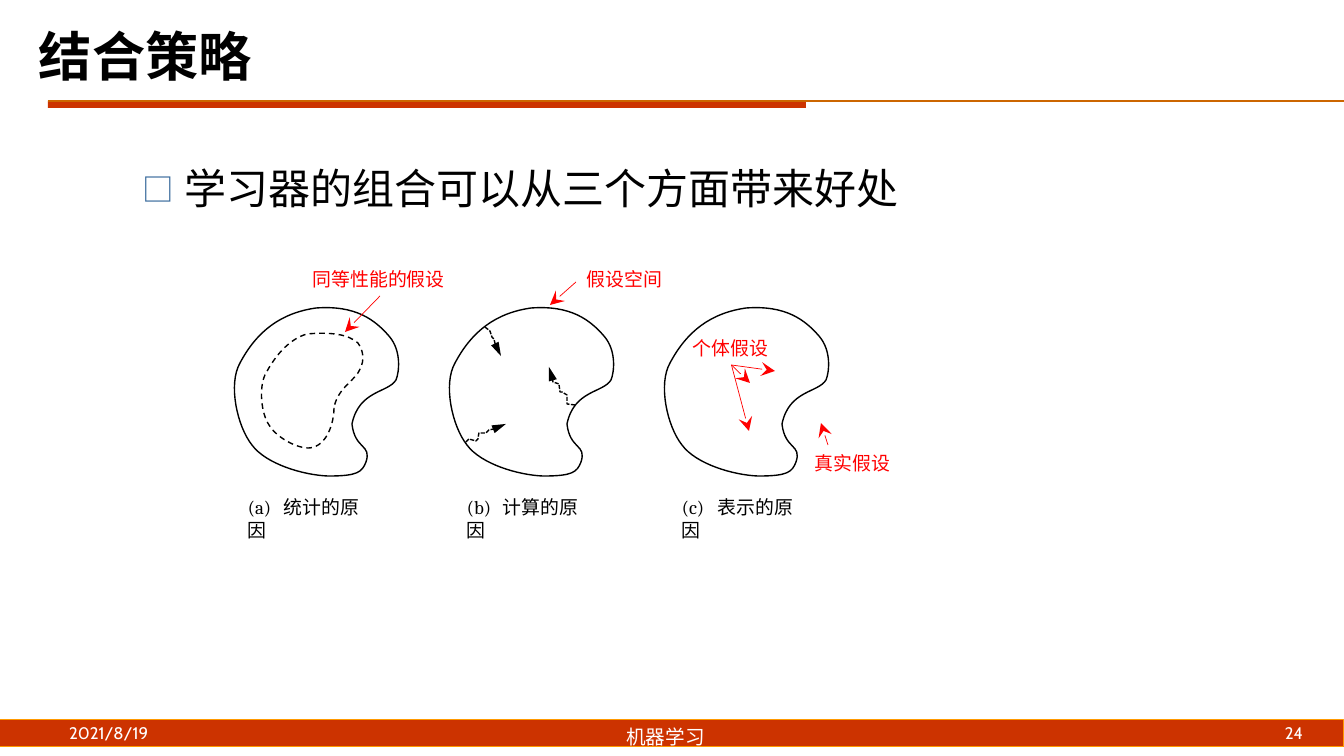
from lxml.etree import SubElement
from pptx import Presentation
from pptx.dml.color import RGBColor
from pptx.enum.dml import MSO_LINE_DASH_STYLE as Dash
from pptx.enum.shapes import MSO_CONNECTOR as Connector, MSO_SHAPE as Preset
from pptx.enum.text import PP_ALIGN as Align
from pptx.oxml.ns import qn
from pptx.util import Pt

PX = 914400 / 100.8
BLACK = RGBColor(0x00, 0x00, 0x00)
WHITE = RGBColor(0xFF, 0xFF, 0xFF)
RED = RGBColor(0xFF, 0x00, 0x00)
BRICK = RGBColor(0xCC, 0x33, 0x00)
ORANGE = RGBColor(0xFF, 0x99, 0x00)
RULE = RGBColor(0xCC, 0x66, 0x00)
BULLET = RGBColor(0x33, 0x66, 0x99)
HAN_FONT = "Noto Sans CJK SC"

TITLE = {"name": "Arial", "size": Pt(38), "bold": True}
BODY = {"name": "Cabin", "size": Pt(30)}
FOOTER = {"name": "Cabin", "size": Pt(14)}
SMALL_FOOTER = {"name": "Cabin", "size": Pt(12)}
CAPTION = {"name": "Cambria", "size": Pt(13.5)}
LABEL = {"name": HAN_FONT, "size": Pt(13.5)}
NO_INSETS = {"margin_left": 0, "margin_top": 0, "margin_right": 0, "margin_bottom": 0}
POINTER_HEAD = {"type": "stealth", "w": "lg", "len": "lg"}
SEARCH_HEAD = {"type": "triangle", "w": "med", "len": "lg"}

SPACE_STEP = 215
SPACE_OUTLINE = [
    (366, 462),
    (362, 472), (358, 476), (328, 476),
    (303, 475), (266, 464), (252, 445),
    (237, 426), (228, 384), (240, 363),
    (257, 331), (281, 313), (316, 308),
    (356, 305), (375, 320), (389, 336),
    (402, 351), (399, 373), (396, 380),
    (388, 393), (359, 390), (352, 424),
    (355, 450), (372, 444), (366, 462),
]
EQUAL_OUTLINE = [
    (334, 408),
    (334, 423), (327, 446), (310, 448),
    (297, 449), (276, 437), (269, 425),
    (261, 413), (259, 388), (265, 375),
    (276, 354), (290, 339), (307, 334),
    (330, 332), (348, 334), (358, 343),
    (368, 358), (360, 369), (358, 373),
    (353, 381), (337, 390), (334, 408),
]
SEARCH_PATHS = [
    [(485, 327), (490, 331), (492, 337), (494, 339), (495, 343),
     (496, 347), (499, 348), (501, 356)],
    [(466, 442), (469, 439), (476, 441), (478, 439), (479, 433), (486, 433),
     (489, 430), (494, 429), (497, 426), (506, 424)],
    [(575, 405), (567, 404), (567, 395), (562, 392), (560, 392), (559, 384),
     (553, 382), (552, 373), (549, 367)],
]
CAPTIONS = [
    (238, "(a)\t统计的原因"),
    (457, "(b)\t计算的原因"),
    (672, "(c)\t表示的原因"),
]


def emu(*lengths):
    """Turn px lengths into EMU."""
    return [round(length * PX) for length in lengths]


def style_line(line, color, width, dash=None, head=None):
    """Set colour, width, dash and end arrow of a line."""
    line.color.rgb = color
    line.width = Pt(width)
    if dash:
        line.dash_style = dash
    if head:
        SubElement(line._get_or_add_ln(), qn("a:tailEnd"), head)


def add_bar(slide, box, line_color=None):
    """Add a brick-red rectangle."""
    shape = slide.shapes.add_shape(Preset.RECTANGLE, *emu(*box))
    shape.shadow.inherit = False
    shape.fill.solid()
    shape.fill.fore_color.rgb = BRICK
    if line_color:
        style_line(shape.line, line_color, 0.75)
    else:
        shape.line.fill.background()


def add_line(slide, start, end, color, width, head=None, origin=None):
    """Add a straight line, joined to an (object, side) origin if given."""
    connector = slide.shapes.add_connector(Connector.STRAIGHT, *emu(*start, *end))
    if origin:
        connector.begin_connect(*origin)
    style_line(connector.line, color, width, head=head)
    SubElement(connector._element.spPr, qn("a:effectLst"))


def add_outline(slide, points, dash=None, head=None):
    """Add an unfilled black outline, closed unless it has an arrowhead."""
    first, *rest = [emu(*point) for point in points]
    builder = slide.shapes.build_freeform(*first)
    builder.add_line_segments(rest, close=head is None)
    shape = builder.convert_to_shape()
    shape.shadow.inherit = False
    shape.fill.background()
    style_line(shape.line, BLACK, 1, dash, head)
    return shape


def add_curve(slide, points, shift=0, dash=None):
    """Add a closed chain of cubic Bezier curves, moved right by shift."""
    shape = add_outline(slide, [(x + shift, y) for x, y in points], dash)
    segments = list(shape._element.iter(qn("a:lnTo")))
    outline = segments[0].getparent()
    for first in range(0, len(points) - 1, 3):
        curve = SubElement(outline, qn("a:cubicBezTo"))
        segments[first].addprevious(curve)
        for segment in segments[first:first + 3]:
            curve.append(segment[0])
            outline.remove(segment)


def add_text(slide, box, text, font_format, color=BLACK, align=Align.LEFT,
             frame_format=None, wrap=True):
    """Add a one-paragraph text box."""
    shape = slide.shapes.add_textbox(*emu(*box))
    frame = shape.text_frame
    frame.word_wrap = wrap
    for name, value in (frame_format or {}).items():
        setattr(frame, name, value)
    paragraph = frame.paragraphs[0]
    paragraph.alignment = align
    run = paragraph.add_run()
    run.text = text
    for name, value in font_format.items():
        setattr(run.font, name, value)
    run.font.color.rgb = color
    SubElement(run._r.get_or_add_rPr(), qn("a:ea"), typeface=HAN_FONT)
    return shape


def add_bullet(shape):
    """Give the text a hollow square bullet and a hanging indent."""
    properties = shape.text_frame.paragraphs[0]._p.get_or_add_pPr()
    margin, indent = emu(51, -42)
    properties.set("marL", str(margin))
    properties.set("indent", str(indent))
    color = SubElement(properties, qn("a:buClr"))
    SubElement(color, qn("a:srgbClr"), val=str(BULLET))
    SubElement(properties, qn("a:buSzPct"), val="75000")
    SubElement(properties, qn("a:buFont"), typeface=HAN_FONT)
    SubElement(properties, qn("a:buChar"), char="□")


def add_caption(slide, left, text):
    """Add a caption whose words start at a tab stop."""
    shape = add_text(slide, (left, 491, 146, 33), text, CAPTION)
    properties = shape.text_frame.paragraphs[0]._p.get_or_add_pPr()
    tabs = SubElement(properties, qn("a:tabLst"))
    SubElement(tabs, qn("a:tab"), pos=str(emu(36)[0]), algn="l")


def add_label(slide, left, top, width, text):
    """Add a red one-line label."""
    return add_text(slide, (left, top, width, 33), text, LABEL, RED, wrap=False)


def add_pointer(slide, start, end, origin=None):
    """Add a thin red arrow."""
    add_line(slide, start, end, RED, 0.5, POINTER_HEAD, origin)


def add_frame(slide):
    """Add the title, its rule and the footer."""
    add_bar(slide, (-2, 720, 1346, 27), ORANGE)
    add_bar(slide, (48, 101, 758, 7))
    add_line(slide, (48, 101), (1344, 101), RULE, 0.75)
    add_text(slide, (319, 720, 693, 34), "机器学习", FOOTER, WHITE, Align.CENTER)
    add_text(slide, (69, 723, 291, 26), "2021/8/19", SMALL_FOOTER, WHITE,
             frame_format=NO_INSETS)
    add_text(slide, (1012, 723, 291, 26), "24", SMALL_FOOTER, WHITE, Align.RIGHT, NO_INSETS)
    add_text(slide, (29, 18, 869, 86), "结合策略", TITLE)


def add_diagrams(slide):
    """Add the three hypothesis-space diagrams."""
    for index, (left, text) in enumerate(CAPTIONS):
        add_curve(slide, SPACE_OUTLINE, index * SPACE_STEP)
        add_caption(slide, left, text)
    add_curve(slide, EQUAL_OUTLINE, dash=Dash.DASH)
    for points in SEARCH_PATHS:
        add_outline(slide, points, Dash.SQUARE_DOT, SEARCH_HEAD)
    equal = add_label(slide, 303, 263, 154, "同等性能的假设")
    add_pointer(slide, (380, 296), (345, 332), (equal, 2))
    add_label(slide, 577, 263, 97, "假设空间")
    add_pointer(slide, (576, 282), (550, 305))
    single = add_label(slide, 683, 332, 97, "个体假设")
    for end in ((775, 371), (749, 431), (750, 383)):
        add_pointer(slide, (732, 365), end, (single, 2))
    add_label(slide, 805, 447, 97, "真实假设")
    add_pointer(slide, (828, 445), (821, 423))


def main():
    """Build and save the slide."""
    presentation = Presentation()
    presentation.slide_width, presentation.slide_height = emu(1344, 756)
    slide = presentation.slides.add_slide(presentation.slide_layouts[6])
    add_frame(slide)
    add_diagrams(slide)
    add_bullet(add_text(slide, (124, 158, 943, 65), "学习器的组合可以从三个方面带来好处", BODY))
    presentation.save("out.pptx")


if __name__ == "__main__":
    main()
